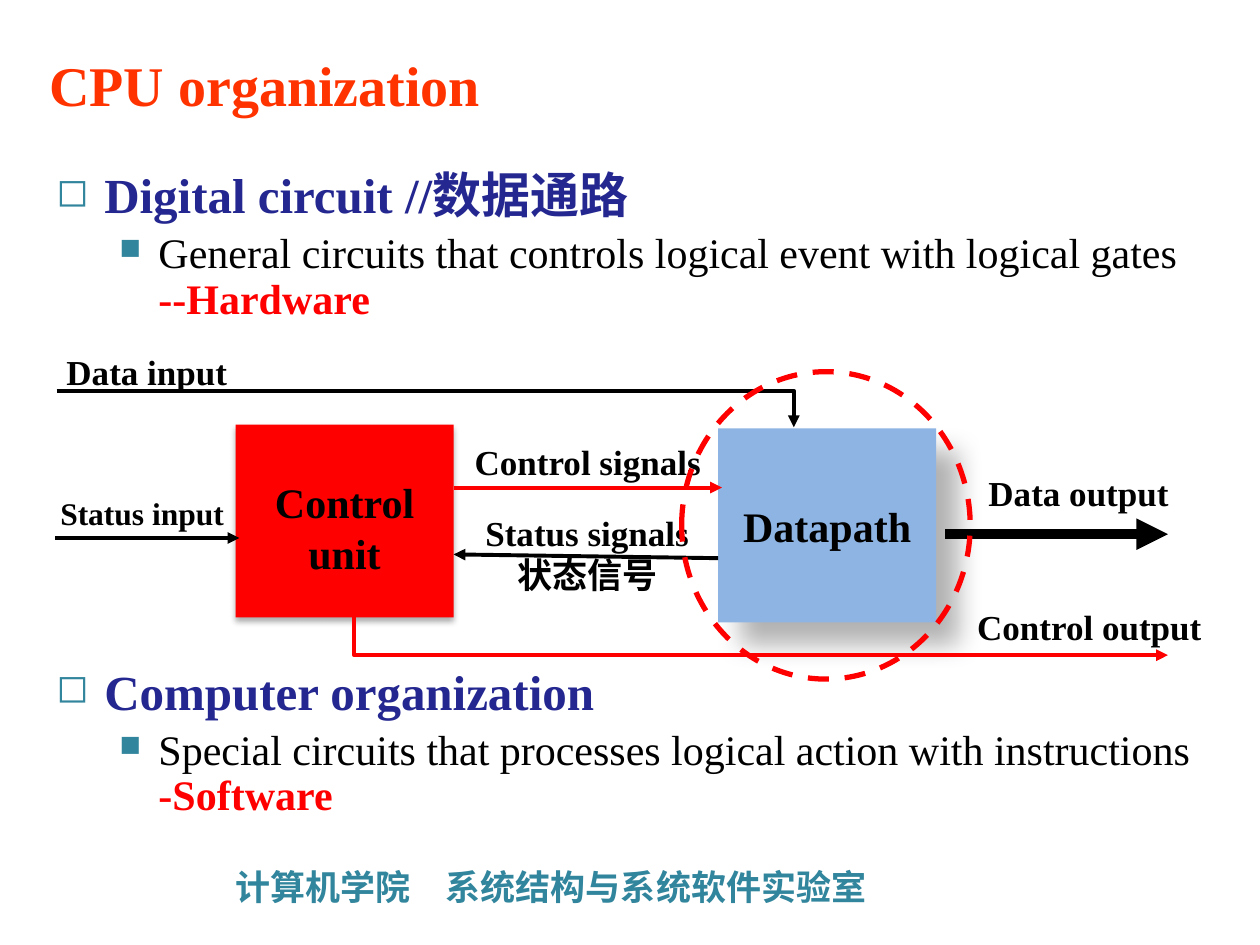
import pptx
import pptx.util
import pptx.dml.color
import pptx.enum.dml
import pptx.enum.shapes
import pptx.enum.text
import pptx.oxml
from pptx.oxml.ns import nsdecls, qn

Pt = pptx.util.Pt
Shape = pptx.enum.shapes.MSO_SHAPE
Align = pptx.enum.text.PP_ALIGN
Anchor = pptx.enum.text.MSO_ANCHOR

RED, BLACK, NAVY, TEAL = "FF0000", "000000", "242790", "31859C"
SERIF, HAN = "Times New Roman", "Noto Sans CJK SC"


def tint(code):
    return pptx.dml.color.RGBColor.from_string(code)


def cell(n):
    """Length of n grid cells; the slide is 100 columns by 75 rows."""
    return pptx.util.Inches(n / 10)


def node(tag, body="", **attrs):
    pairs = " ".join(f'{key}="{val}"' for key, val in attrs.items())
    return pptx.oxml.parse_xml(f"<a:{tag} {nsdecls('a')} {pairs}>{body}</a:{tag}>")


class Board:
    def __init__(self, slide):
        self.slide = slide
        self.shapes = slide.shapes

    def style(self, run, size, color=BLACK, bold=True, face=SERIF):
        font = run.font
        font.size, font.bold, font.name = Pt(size), bold, face
        font.color.rgb = tint(color)
        run._r.get_or_add_rPr().append(node("ea", typeface=HAN))

    def fill_in(self, frame, text, size, align=Align.CENTER, **look):
        frame.text = text
        for par in frame.paragraphs:
            par.alignment = align
            for run in par.runs:
                self.style(run, size, **look)

    def title(self, text, box):
        hold = self.shapes.title
        hold.left, hold.top, hold.width, hold.height = map(cell, box)
        hold.text_frame.vertical_anchor = Anchor.MIDDLE
        self.fill_in(hold.text_frame, text, 32, Align.LEFT, color="FF3300")

    def label(self, text, box, size=20, wrap=True, **look):
        frame = self.shapes.add_textbox(*map(cell, box)).text_frame
        frame.word_wrap = wrap
        self.fill_in(frame, text, size, **look)

    def bullet(self, par, mark, size, left, hang):
        props = par._p.get_or_add_pPr()
        props.set("marL", str(cell(left)))
        props.set("indent", str(-cell(hang)))
        props.append(node("buClr", f'<a:srgbClr val="{TEAL}"/>'))
        props.append(node("buSzPct", val=size * 1000))
        props.append(node("buChar", char=mark))
        par.line_spacing = 0.9

    def outline(self, items, box, gap):
        """Head and detail pairs; gap is the space before each later head."""
        frame = self.shapes.add_textbox(*map(cell, box)).text_frame
        frame.word_wrap = True
        for n, (head, plain, strong) in enumerate(items):
            par = frame.add_paragraph() if n else frame.paragraphs[0]
            par.text = head
            self.bullet(par, "◻", 80, 3.8, 3.8)
            par.space_before = Pt(gap if n else 0)
            self.style(par.runs[0], 28, NAVY)

            par = frame.add_paragraph()
            par.text = plain
            par.level = 1
            self.bullet(par, "■", 70, 8.1, 3.1)
            par.space_before = Pt(4.8)
            self.style(par.runs[0], 24, bold=False)
            run = par.add_run()
            run.text = strong
            self.style(run, 24, RED)

    def block(self, text, box, fill, drop, low=0):
        item = self.shapes.add_shape(Shape.RECTANGLE, *map(cell, box))
        item.fill.solid()
        item.fill.fore_color.rgb = tint(fill)
        item.line.fill.background()
        alpha, blur, dist, turn = drop
        color = f'<a:srgbClr val="{BLACK}"><a:alpha val="{alpha * 1000}"/></a:srgbClr>'
        shade = node("outerShdw", color, blurRad=Pt(blur), dist=Pt(dist),
                     dir=turn * 60000, algn="ctr", rotWithShape=0)
        effects = node("effectLst")
        effects.append(shade)
        item._element.spPr.append(effects)
        frame = item.text_frame
        frame.word_wrap = True
        frame.vertical_anchor = Anchor.MIDDLE
        frame.margin_top = cell(0.5 + low)
        self.fill_in(frame, text, 24)

    def ring(self, box):
        item = self.shapes.add_shape(Shape.OVAL, *map(cell, box))
        item.shadow.inherit = False
        item.fill.background()
        item.line.color.rgb = tint(RED)
        item.line.width = Pt(3)
        item.line.dash_style = pptx.enum.dml.MSO_LINE.DASH

    def arrow(self, points, color=BLACK, width=2.25):
        """Straight arrow for two points, bent path for more."""
        spots = [(cell(x), cell(y)) for x, y in points]
        if len(spots) == 2:
            kind = pptx.enum.shapes.MSO_CONNECTOR.STRAIGHT
            item = self.shapes.add_connector(kind, *spots[0], *spots[1])
        else:
            route = self.shapes.build_freeform(*spots[0])
            route.add_line_segments(spots[1:], close=False)
            item = route.convert_to_shape()
            item.fill.background()
        item.line.color.rgb = tint(color)
        item.line.width = Pt(width)
        props = item._element.spPr
        props.find(qn("a:ln")).append(node("tailEnd", type="triangle"))
        props.append(node("effectLst"))


def main():
    deck = pptx.Presentation()
    deck.slide_width, deck.slide_height = cell(100), cell(75)
    board = Board(deck.slides.add_slide(deck.slide_layouts[5]))

    # Footer, title and outline
    board.label("计算机学院　系统结构与系统软件实验室", (17.7, 68.2, 72.4, 4.4),
                align=Align.LEFT, color=TEAL, face=HAN)
    board.title("CPU organization", (2.9, 3.1, 93.4, 7.2))
    board.outline([
        ("Digital circuit //数据通路",
         "General circuits that controls logical event with logical gates ",
         "--Hardware"),
        ("Computer organization",
         "Special circuits that processes logical action with instructions ",
         "-Software"),
    ], (3.5, 13.1, 93.4, 57.5), gap=197)

    # Units
    board.block("Control\vunit", (18.7, 33.7, 17.3, 15.3), RED, (32, 3.5, 2.2, 90), low=1)
    board.block("Datapath", (57, 34, 17.3, 15.4), "8EB4E3", (30, 15, 18, 45))

    # Signals
    board.arrow([(36, 38.7), (57.3, 38.7)], RED)
    board.arrow([(57, 44.3), (36, 44)])
    board.arrow([(28.1, 49), (28.1, 52), (92.7, 52)], RED)
    board.arrow([(4.5, 31), (63, 31), (63, 33.9)])
    board.arrow([(75, 42.4), (92.7, 42.4)], width=6)
    board.arrow([(4.4, 42.7), (19, 42.7)])

    # Signal names
    for text, box in [
        ("Control signals", (36, 34.5, 21.3, 4.3)),
        ("Status signals 状态信号", (37, 40.1, 19.2, 7.7)),
        ("Control output", (76.4, 47.6, 20.1, 4.4)),
        ("Data input", (2.2, 27.3, 18.9, 4.4)),
        ("Data output", (74.5, 36.9, 22.2, 4.4)),
    ]:
        board.label(text, box)
    board.label("Status input", (3.8, 38.7, 15.1, 4), 18, wrap=False, align=Align.LEFT)

    # Highlight
    board.ring((54.1, 29.5, 22.9, 24.4))

    deck.save("out.pptx")


if __name__ == "__main__":
    main()
